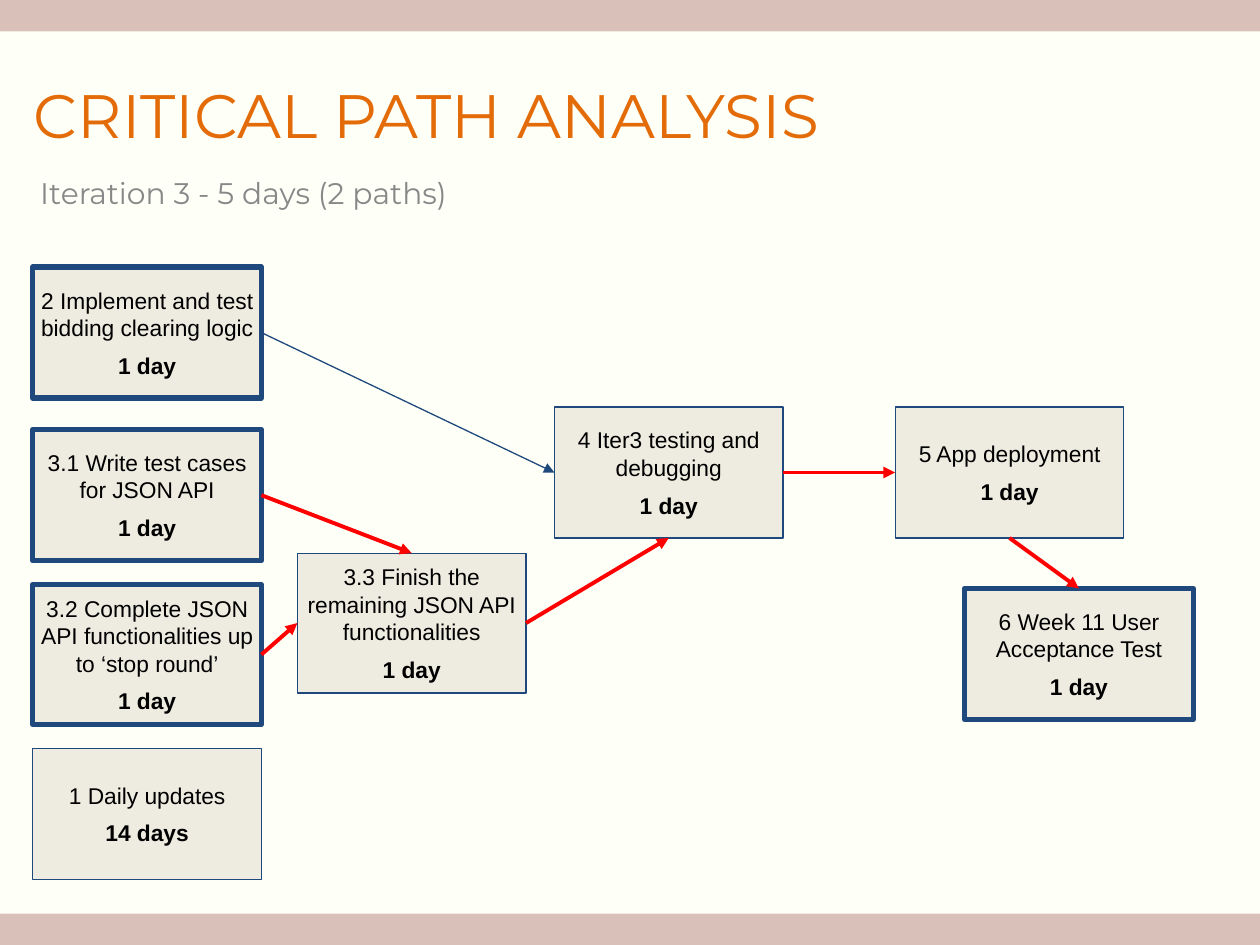
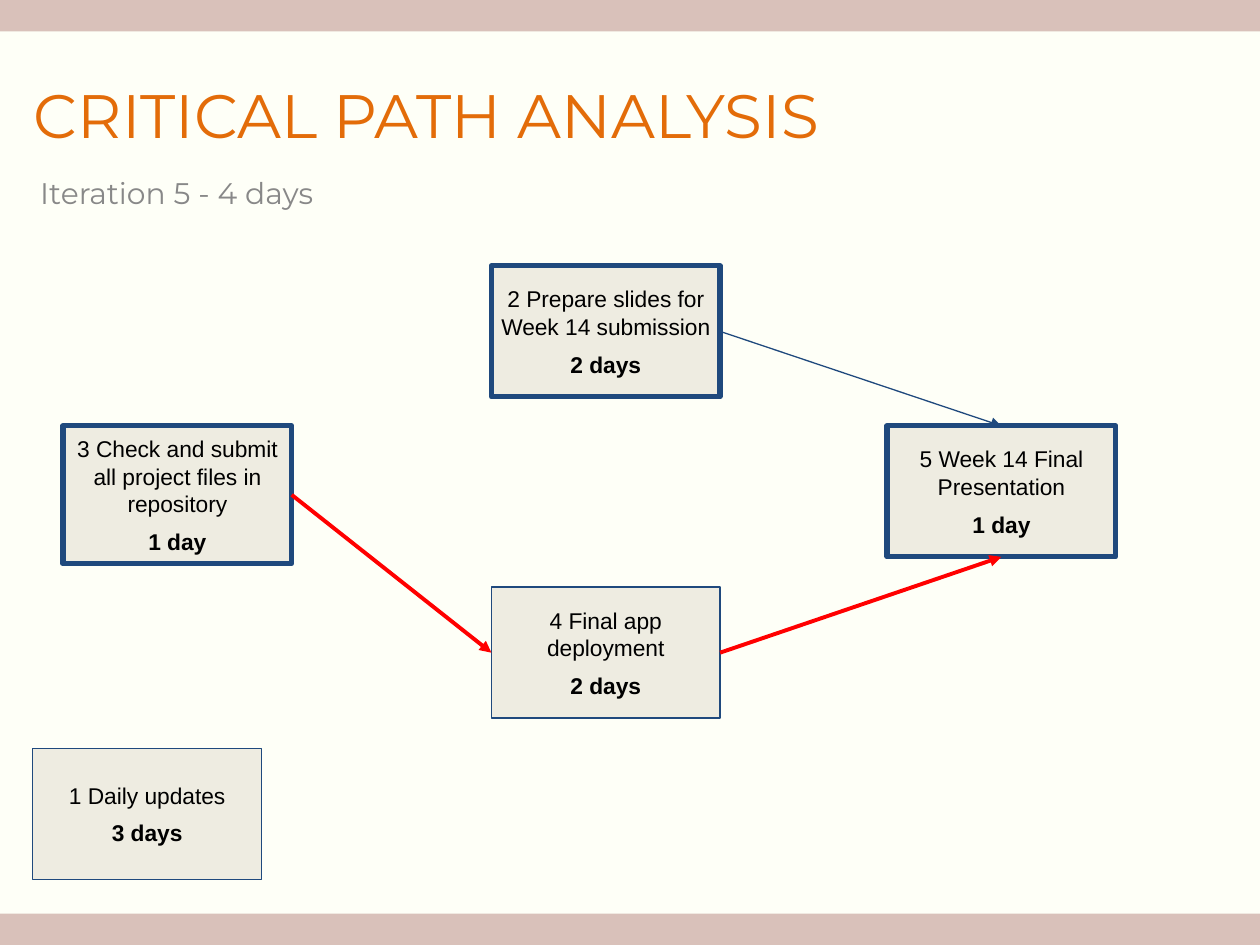
import lxml.etree
import pptx
import pptx.dml.color
import pptx.enum.shapes
import pptx.enum.text
import pptx.oxml.ns
import pptx.util

COLORS = {
    "paper": "FEFFF7",
    "band": "D9C1BA",
    "title": "E36C09",
    "subtitle": "888888",
    "task": "EEECE1",
    "navy": "1F497D",
    "critical": "FF0000",
    "ink": "000000",
}
RGB = {name: pptx.dml.color.RGBColor.from_string(code) for name, code in COLORS.items()}

COLUMNS, ROWS = 40, 30
MARGIN = 1.04
TASK_WIDTH, TASK_HEIGHT, TALL_HEIGHT = 7.26, 4.16, 4.44
UPDATES_TOP = 23.76
TOP, LEFT, BOTTOM, RIGHT = range(4)
THICK, THIN, CRITICAL_WIDTH = 3, 0.75, 2.25

# Tasks: number -> (column, row, height, outline, description, duration)
# Links: (from task, side, to task, side, lies on the critical path)
ITERATIONS = [
    {
        "subtitle": "Iteration 3 - 5 days (2 paths)",
        "tasks": {
            "2": (MARGIN, 8.48, TASK_HEIGHT, THICK, "Implement and test bidding clearing logic", "1 day"),
            "3.1": (MARGIN, 13.64, TASK_HEIGHT, THICK, "Write test cases for JSON API", "1 day"),
            "4": (17.6, 12.92, TASK_HEIGHT, THIN, "Iter3 testing and debugging", "1 day"),
            "5": (28.42, 12.92, TASK_HEIGHT, THIN, "App deployment", "1 day"),
            "6": (30.62, 18.68, TASK_HEIGHT, THICK, "Week 11 User Acceptance Test", "1 day"),
            "3.2": (MARGIN, 18.56, TALL_HEIGHT, THICK,
                    "Complete JSON API functionalities up to ‘stop round’", "1 day"),
            "3.3": (9.44, 17.56, TALL_HEIGHT, THIN, "Finish the remaining JSON API functionalities", "1 day"),
            "1": (MARGIN, UPDATES_TOP, TASK_HEIGHT, THIN, "Daily updates", "14 days"),
        },
        "links": [
            ("2", RIGHT, "4", LEFT, False),
            ("3.1", RIGHT, "3.3", TOP, True),
            ("3.2", RIGHT, "3.3", LEFT, True),
            ("3.3", RIGHT, "4", BOTTOM, True),
            ("4", RIGHT, "5", LEFT, True),
            ("5", BOTTOM, "6", TOP, True),
        ],
    },
    {
        "subtitle": "Iteration 5 - 4 days",
        "tasks": {
            "2": (15.6, 8.44, TASK_HEIGHT, THICK, "Prepare slides for Week 14 submission", "2 days"),
            "3": (2, 13.52, 4.38, THICK, "Check and submit all project files in repository", "1 day"),
            "4": (15.6, 18.64, TASK_HEIGHT, THIN, "Final app deployment", "2 days"),
            "5": (28.16, 13.52, TASK_HEIGHT, THICK, "Week 14 Final Presentation", "1 day"),
            "1": (MARGIN, UPDATES_TOP, TASK_HEIGHT, THIN, "Daily updates", "3 days"),
        },
        "links": [
            ("4", RIGHT, "5", BOTTOM, True),
            ("3", RIGHT, "4", LEFT, True),
            ("2", RIGHT, "5", TOP, False),
        ],
    },
]

deck = pptx.Presentation()
deck.slide_width, deck.slide_height = pptx.util.Inches(10), pptx.util.Inches(7.5)


def grid(column, row, columns, rows):
    """Turn grid units into left, top, width and height."""
    across, down = deck.slide_width / COLUMNS, deck.slide_height / ROWS
    return round(column * across), round(row * down), round(columns * across), round(rows * down)


def write(frame, text, size=13, font="Arial", color="ink", bold=False, align="LEFT",
          gap=0, inset=(0.06, 0.06), anchor="TOP", append=False):
    frame.word_wrap = True
    frame.vertical_anchor = pptx.enum.text.MSO_ANCHOR[anchor]
    frame.margin_left = frame.margin_right = pptx.util.Inches(inset[0])
    frame.margin_top = frame.margin_bottom = pptx.util.Inches(inset[1])
    paragraph = frame.add_paragraph() if append else frame.paragraphs[0]
    paragraph.alignment = pptx.enum.text.PP_ALIGN[align]
    paragraph.space_before = paragraph.space_after = pptx.util.Pt(gap)
    run = paragraph.add_run()
    run.text = text
    run.font.size, run.font.name, run.font.bold = pptx.util.Pt(size), font, bold
    run.font.color.rgb = RGB[color]


paper = deck.slide_master.background.fill
paper.solid()
paper.fore_color.rgb = RGB["paper"]

for iteration in ITERATIONS:
    slide = deck.slides.add_slide(deck.slide_layouts[6])
    shapes = slide.shapes

    for band_row in (0, ROWS - 1):
        band = shapes.add_shape(pptx.enum.shapes.MSO_SHAPE.RECTANGLE, *grid(0, band_row, COLUMNS, 1))
        band.shadow.inherit = False
        band.fill.solid()
        band.fill.fore_color.rgb = RGB["band"]
        band.line.fill.background()

    title = shapes.add_textbox(*grid(MARGIN, 2.4, 32, 2.92))
    write(title.text_frame, "CRITICAL PATH ANALYSIS", size=35, font="Montserrat", color="title",
          inset=(0.01, 0.01))
    subtitle = shapes.add_textbox(*grid(MARGIN, 5.32, 20, 2.4))
    write(subtitle.text_frame, iteration["subtitle"], size=17, font="Montserrat", color="subtitle")

    tasks = {}
    for number, (column, row, height, outline, description, duration) in iteration["tasks"].items():
        task = shapes.add_shape(pptx.enum.shapes.MSO_SHAPE.RECTANGLE,
                                *grid(column, row, TASK_WIDTH, height))
        task.shadow.inherit = False
        task.fill.solid()
        task.fill.fore_color.rgb = RGB["task"]
        task.line.color.rgb = RGB["navy"]
        task.line.width = pptx.util.Pt(outline)
        write(task.text_frame, f"{number} {description}", align="CENTER", anchor="MIDDLE")
        write(task.text_frame, duration, bold=True, align="CENTER", anchor="MIDDLE", gap=6, append=True)
        tasks[number] = task

    for start, start_side, end, end_side, critical in iteration["links"]:
        link = shapes.add_connector(pptx.enum.shapes.MSO_CONNECTOR.STRAIGHT, 0, 0, 0, 0)
        link.begin_connect(tasks[start], start_side)
        link.end_connect(tasks[end], end_side)
        link.line.color.rgb = RGB["critical" if critical else "navy"]
        link.line.width = pptx.util.Pt(CRITICAL_WIDTH if critical else THIN)
        lxml.etree.SubElement(link.line._get_or_add_ln(), pptx.oxml.ns.qn("a:tailEnd"), type="triangle")
        lxml.etree.SubElement(link._element.spPr, pptx.oxml.ns.qn("a:effectLst"))

deck.save("out.pptx")
